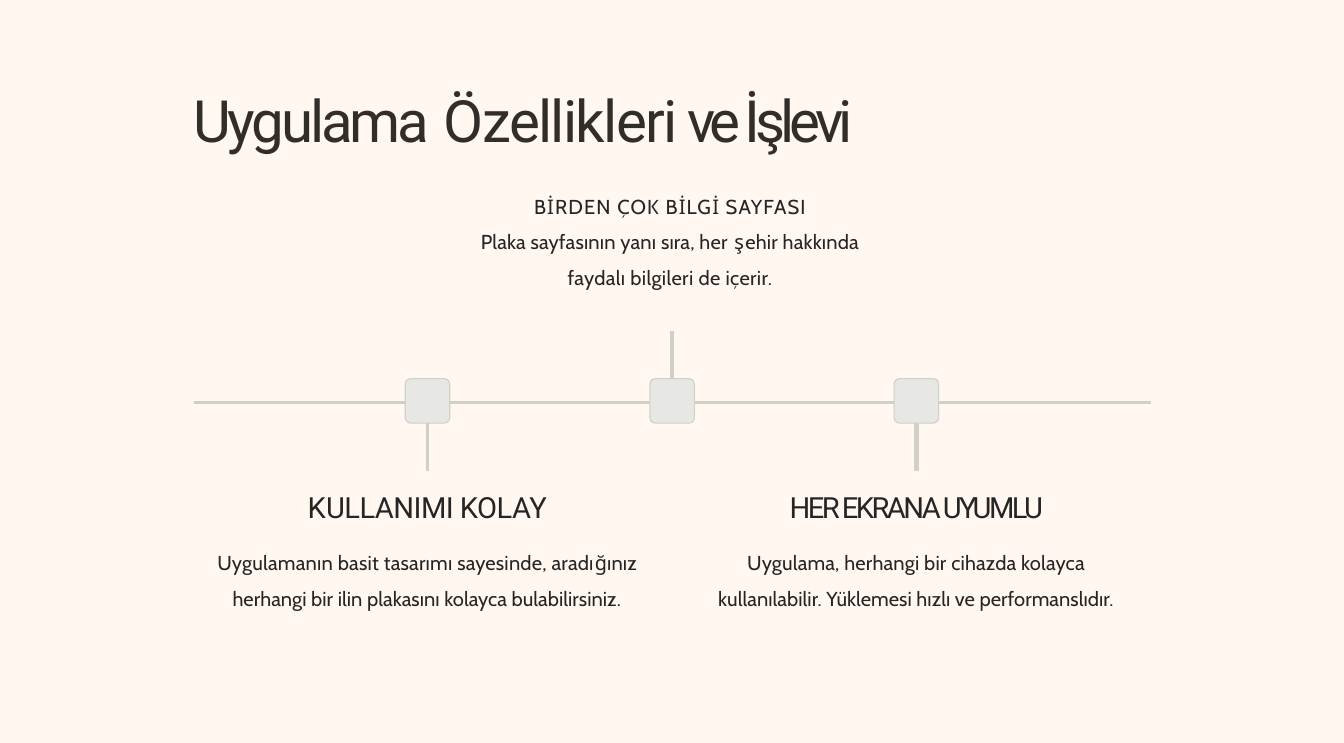
from itertools import groupby

from lxml.etree import SubElement
from pptx import Presentation
from pptx.dml.color import RGBColor
from pptx.enum.shapes import MSO_CONNECTOR as CONNECTOR, MSO_SHAPE as SHAPE
from pptx.enum.text import MSO_ANCHOR as ANCHOR, MSO_AUTO_SIZE as AUTO_SIZE, PP_ALIGN as ALIGN
from pptx.oxml.ns import qn
from pptx.util import Cm, Pt

CREAM = RGBColor(0xFF, 0xF7, 0xF0)
TITLE_INK = RGBColor(0x31, 0x2E, 0x2A)
INK = RGBColor(0x26, 0x25, 0x25)
LINE_GREY = RGBColor(0xD0, 0xD0, 0xC7)
NODE_GREY = RGBColor(0xE7, 0xE7, 0xE3)

SLIDE_WIDTH, SLIDE_HEIGHT = 31.75, 17.55

TITLE_BOX = (4.56, 1.95, 16.13, 1.73)
TITLE = [("Uygulama", -2.1), (" ", -0.2), ("Özellikleri", -1.1), (" ve İşlevi", -3.4)]

HEADING = {"size": 19.5, "font": "Roboto", "before": 1.1, "line": 1.0}
LABEL = {"size": 13.5, "font": "Cabin", "before": 9.3, "line": 1.48}
BODY = LABEL
BODY_BELOW_LABEL = {**LABEL, "before": 0}
MONO_LETTERS = "ğş"

CAPTIONS = [
    ((5.03, 11.53, 10.13, 3.63), [
        (HEADING, [("K", -1.9), ("ULLANIMI KOLAY", -0.4)]),
        (BODY, [("Uygulamanın basit tasarımı sayesinde, aradığınız ", 0.18),
                ("herhangi bir ilin plakasını kolayca bulabilirsiniz.", 0.07)]),
    ]),
    ((11.26, 4.27, 9.14, 2.49), [
        (LABEL, [("BİRDEN ÇOK BİLGİ SAYFASI", 0.8)]),
        (BODY_BELOW_LABEL, [("Plaka sayfasının yanı sıra, her şehir hakkında ", 0.15),
                            ("faydalı bilgileri de içerir.", 0.26)]),
    ]),
    ((16.71, 11.53, 9.88, 3.63), [
        (HEADING, [("HER EKRANA UYUMLU", -1.75)]),
        (BODY, [("Uygulama, herhangi bir cihazda kolayca ", 0.15),
                ("kullanılabilir. Yüklemesi hızlı ve performanslıdır.", 0.07)]),
    ]),
]

AXIS_Y, AXIS_START, AXIS_END = 9.51, 4.58, 27.2
NODE_Y, NODE_SIZE = 9.47, 1.05
STEM_LENGTH = 1.65
STEMS = [(10.1, 1, 2.5), (15.88, -1, 3), (21.65, 1, 3)]


def add_backdrop(slide):
    backdrop = slide.shapes.add_shape(SHAPE.RECTANGLE, 0, 0, Cm(SLIDE_WIDTH), Cm(SLIDE_HEIGHT))
    backdrop.shadow.inherit = False
    backdrop.fill.solid()
    backdrop.fill.fore_color.rgb = CREAM
    backdrop.line.fill.background()
    slide.shapes.title._element.addprevious(backdrop._element)


def add_run(paragraph, text, size, font, color, spacing):
    run = paragraph.add_run()
    run.text = text
    run.font.size = Pt(size)
    run.font.name = font
    run.font.color.rgb = color
    run._r.get_or_add_rPr().set("spc", str(round(spacing * 100)))


def prepare_frame(text_frame):
    text_frame.word_wrap = True
    text_frame.auto_size = AUTO_SIZE.NONE
    text_frame.vertical_anchor = ANCHOR.TOP
    text_frame.margin_left = text_frame.margin_right = text_frame.margin_bottom = 0
    text_frame.margin_top = Cm(0.04)


def add_title(slide):
    title = slide.shapes.title
    title.left, title.top, title.width, title.height = map(Cm, TITLE_BOX)
    prepare_frame(title.text_frame)
    paragraph = title.text_frame.paragraphs[0]
    paragraph.alignment = ALIGN.LEFT
    paragraph.space_before = Pt(1.2)
    for text, spacing in TITLE:
        add_run(paragraph, text, 39, "Roboto", TITLE_INK, spacing)


def add_caption(slide, box, paragraphs):
    text_frame = slide.shapes.add_textbox(*map(Cm, box)).text_frame
    prepare_frame(text_frame)
    for index, (style, parts) in enumerate(paragraphs):
        paragraph = text_frame.add_paragraph() if index else text_frame.paragraphs[0]
        paragraph.alignment = ALIGN.CENTER
        paragraph.space_before = Pt(style["before"])
        paragraph.line_spacing = style["line"]
        for text, spacing in parts:
            for is_mono, letters in groupby(text, lambda letter: letter in MONO_LETTERS):
                font = "Noto Sans Mono" if is_mono else style["font"]
                add_run(paragraph, "".join(letters), style["size"], font, INK, spacing)


def add_line(slide, start, end, width):
    line = slide.shapes.add_connector(CONNECTOR.STRAIGHT, *map(Cm, start + end))
    line.line.color.rgb = LINE_GREY
    line.line.width = Pt(width)
    SubElement(line._element.spPr, qn("a:effectLst"))


def add_node(slide, center):
    corner = (center - NODE_SIZE / 2, NODE_Y - NODE_SIZE / 2)
    node = slide.shapes.add_shape(SHAPE.ROUNDED_RECTANGLE, *map(Cm, corner + (NODE_SIZE, NODE_SIZE)))
    node.adjustments[0] = 0.12
    node.shadow.inherit = False
    node.fill.solid()
    node.fill.fore_color.rgb = NODE_GREY
    node.line.color.rgb = LINE_GREY
    node.line.width = Pt(0.75)


def main():
    presentation = Presentation()
    presentation.slide_width, presentation.slide_height = Cm(SLIDE_WIDTH), Cm(SLIDE_HEIGHT)
    slide = presentation.slides.add_slide(presentation.slide_layouts[5])

    add_backdrop(slide)
    add_title(slide)
    add_line(slide, (AXIS_START, AXIS_Y), (AXIS_END, AXIS_Y), 2.5)
    for center, direction, width in STEMS:
        add_line(slide, (center, NODE_Y), (center, NODE_Y + direction * STEM_LENGTH), width)
        add_node(slide, center)
    for box, paragraphs in CAPTIONS:
        add_caption(slide, box, paragraphs)

    presentation.save("out.pptx")


if __name__ == "__main__":
    main()
